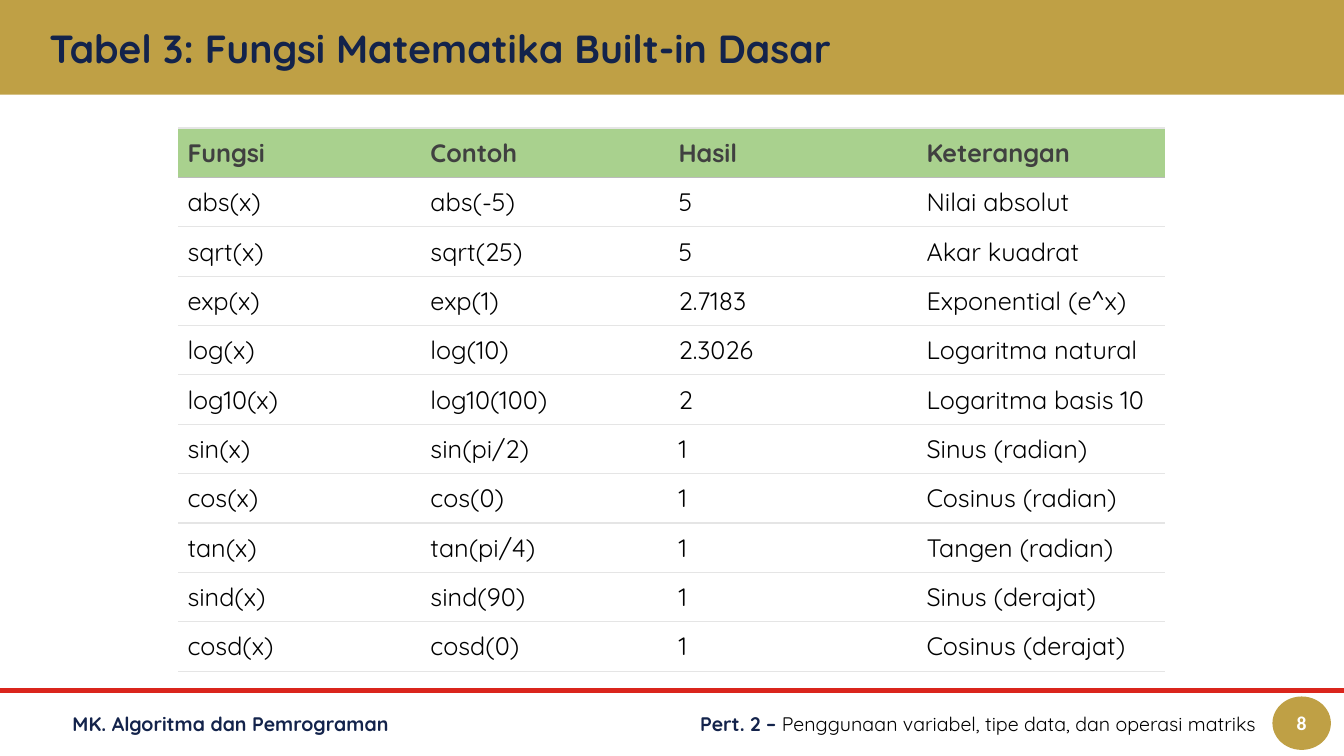
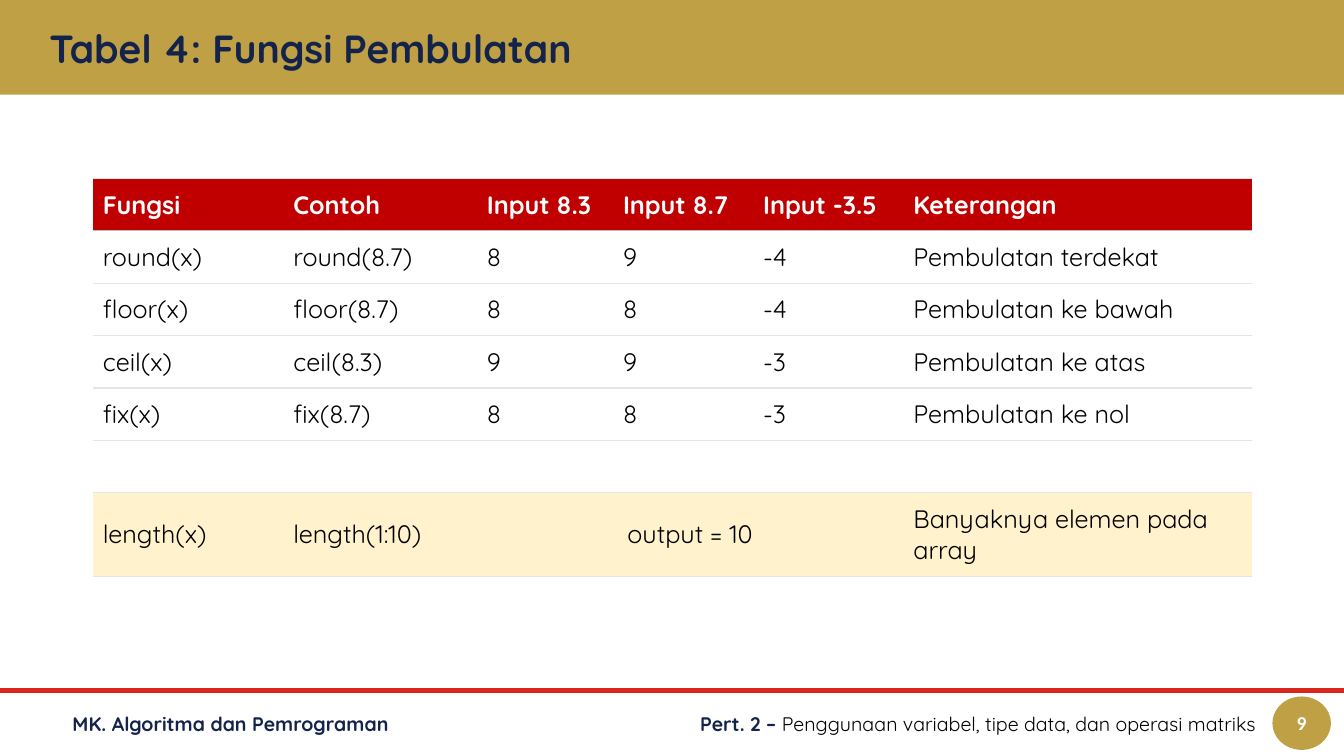
from lxml.etree import SubElement
from pptx import Presentation
from pptx.dml.color import RGBColor
from pptx.enum.shapes import MSO_CONNECTOR, MSO_SHAPE
from pptx.enum.text import MSO_ANCHOR, PP_ALIGN
from pptx.oxml import parse_xml
from pptx.oxml.ns import nsdecls, qn
from pptx.util import Inches, Pt

# Shared style
GOLD = RGBColor(0xBF, 0xA0, 0x45)
RED = RGBColor(0xDA, 0x25, 0x1C)
NAVY = RGBColor(0x13, 0x23, 0x4B)
BLACK = RGBColor(0x00, 0x00, 0x00)
WHITE = RGBColor(0xFF, 0xFF, 0xFF)
DARK_GREY = RGBColor(0x40, 0x40, 0x40)
HEADER_RULE = RGBColor(0xBB, 0xBB, 0xBB)
ROW_RULE = RGBColor(0xE5, 0xE5, 0xE5)
GREEN = RGBColor(0xA9, 0xD1, 0x8E)
DEEP_RED = RGBColor(0xC0, 0x00, 0x00)
CREAM = RGBColor(0xFF, 0xF2, 0xCC)
FONT = "Quicksand"
NUMBER_FONT = "Calibri"
SLIDE_WIDTH, SLIDE_HEIGHT = 13.33, 7.5
RULE_WIDTH = 0.94

# Slide content
MATH_ROWS = [
    ("Fungsi", "Contoh", "Hasil", "Keterangan"),
    ("abs(x)", "abs(-5)", "5", "Nilai absolut"),
    ("sqrt(x)", "sqrt(25)", "5", "Akar kuadrat"),
    ("exp(x)", "exp(1)", "2.7183", "Exponential (e^x)"),
    ("log(x)", "log(10)", "2.3026", "Logaritma natural"),
    ("log10(x)", "log10(100)", "2", "Logaritma basis 10"),
    ("sin(x)", "sin(pi/2)", "1", "Sinus (radian)"),
    ("cos(x)", "cos(0)", "1", "Cosinus (radian)"),
    ("tan(x)", "tan(pi/4)", "1", "Tangen (radian)"),
    ("sind(x)", "sind(90)", "1", "Sinus (derajat)"),
    ("cosd(x)", "cosd(0)", "1", "Cosinus (derajat)"),
]
ROUNDING_ROWS = [
    ("Fungsi", "Contoh", "Input 8.3", "Input 8.7", "Input -3.5", "Keterangan"),
    ("round(x)", "round(8.7)", "8", "9", "-4", "Pembulatan terdekat"),
    ("floor(x)", "floor(8.7)", "8", "8", "-4", "Pembulatan ke bawah"),
    ("ceil(x)", "ceil(8.3)", "9", "9", "-3", "Pembulatan ke atas"),
    ("fix(x)", "fix(8.7)", "8", "8", "-3", "Pembulatan ke nol"),
    ("",) * 6,
    ("length(x)", "length(1:10)", "output = 10", "", "", "Banyaknya elemen pada array"),
]


def style_run(run, size, color, bold=False, font=FONT):
    run.font.name = font
    run.font.size = Pt(size)
    run.font.bold = bold
    run.font.color.rgb = color


def set_margins(target, inset):
    target.margin_left = target.margin_right = Inches(inset)
    target.margin_top = target.margin_bottom = Inches(inset)


def add_text(slide, box, parts, size, align=PP_ALIGN.LEFT):
    """Place one line of (text, color, bold) parts in a box."""
    text_frame = slide.shapes.add_textbox(*map(Inches, box)).text_frame
    text_frame.word_wrap = True
    text_frame.vertical_anchor = MSO_ANCHOR.MIDDLE
    set_margins(text_frame, 0.1)
    paragraph = text_frame.paragraphs[0]
    paragraph.alignment = align
    for text, color, bold in parts:
        run = paragraph.add_run()
        run.text = text
        style_run(run, size, color, bold)


def add_gold_shape(slide, kind, box):
    shape = slide.shapes.add_shape(kind, *map(Inches, box))
    shape.shadow.inherit = False
    shape.fill.solid()
    shape.fill.fore_color.rgb = GOLD
    shape.line.fill.background()
    return shape


def add_title_band(slide, title, height=0.94):
    add_gold_shape(slide, MSO_SHAPE.RECTANGLE, (0, 0, SLIDE_WIDTH, height))
    add_text(slide, (0.39, 0.21, 12.55, 0.53), [(title, NAVY, True)], 28)


def add_footer(slide, number, top=6.85):
    # Red rule
    rule = slide.shapes.add_connector(
        MSO_CONNECTOR.STRAIGHT, 0, Inches(top), Inches(SLIDE_WIDTH), Inches(top))
    rule.line.color.rgb = RED
    rule.line.width = Pt(3)
    SubElement(rule._element.spPr, qn("a:effectLst"))

    # Course, topic and slide number
    text_top, height = top + 0.06, 0.53
    add_text(slide, (0.62, text_top, 5.29, height),
             [("MK. Algoritma dan Pemrograman", NAVY, True)], 14)
    add_text(slide, (6.51, text_top, 6.05, height),
             [("Pert. 2 – ", NAVY, True),
              ("Penggunaan variabel, tipe data, dan operasi matriks", BLACK, False)],
             14, PP_ALIGN.RIGHT)
    badge = add_gold_shape(slide, MSO_SHAPE.OVAL, (12.62, text_top, 0.58, height))
    text_frame = badge.text_frame
    set_margins(text_frame, 0)
    text_frame.vertical_anchor = MSO_ANCHOR.MIDDLE
    text_frame.text = str(number)
    paragraph = text_frame.paragraphs[0]
    paragraph.alignment = PP_ALIGN.CENTER
    style_run(paragraph.runs[0], 14, WHITE, True, NUMBER_FONT)


def set_borders(cell, top, bottom):
    """Draw the horizontal rules of a cell and hide its side borders."""
    borders = (("lnL", None), ("lnR", None), ("lnT", top), ("lnB", bottom))
    for index, (tag, color) in enumerate(borders):
        fill = ("<a:noFill/>" if color is None
                else f'<a:solidFill><a:srgbClr val="{color}"/></a:solidFill>')
        cell._tc.get_or_add_tcPr().insert(index, parse_xml(
            f'<a:{tag} {nsdecls("a")} w="{Pt(RULE_WIDTH)}">{fill}</a:{tag}>'))


def style_cell(cell, text, fill, color, bold, inset):
    cell.fill.solid()
    cell.fill.fore_color.rgb = fill
    cell.vertical_anchor = MSO_ANCHOR.MIDDLE
    set_margins(cell, inset)
    if text:
        cell.text_frame.text = text
        style_run(cell.text_frame.paragraphs[0].runs[0], 18, color, bold)


def add_function_table(slide, left, top, rows, widths, heights, header_fill,
                       header_color, inset, row_fills=None):
    frame = slide.shapes.add_table(
        len(rows), len(widths), Inches(left), Inches(top),
        Inches(sum(widths)), Inches(sum(heights)))
    table = frame.table
    table.first_row = table.horz_banding = False
    for column, width in zip(table.columns, widths):
        column.width = Inches(width)
    for row, height in zip(table.rows, heights):
        row.height = Inches(height)

    fills = {0: header_fill, **(row_fills or {})}
    for row_index, values in enumerate(rows):
        is_header = row_index == 0
        color = header_color if is_header else BLACK
        top_rule = HEADER_RULE if row_index == 1 else ROW_RULE
        bottom_rule = HEADER_RULE if is_header else ROW_RULE
        for column_index, text in enumerate(values):
            cell = table.cell(row_index, column_index)
            style_cell(cell, text, fills.get(row_index, WHITE), color, is_header, inset)
            set_borders(cell, top_rule, bottom_rule)
    return table


def add_base_slide(presentation, title, number):
    slide = presentation.slides.add_slide(presentation.slide_layouts[6])
    add_title_band(slide, title)
    add_footer(slide, number)
    return slide


def add_math_slide(presentation):
    slide = add_base_slide(presentation, "Tabel 3: Fungsi Matematika Built-in Dasar", 8)
    add_function_table(slide, 1.77, 1.27, MATH_ROWS, [2.41] + [2.46] * 3,
                       [0.49] * len(MATH_ROWS), GREEN, DARK_GREY, 0.09)


def add_rounding_slide(presentation):
    slide = add_base_slide(presentation, "Tabel 4: Fungsi Pembulatan", 9)
    last = len(ROUNDING_ROWS) - 1
    table = add_function_table(
        slide, 0.92, 1.77, ROUNDING_ROWS, [1.89, 1.92, 1.35, 1.39, 1.49, 3.46],
        [0.52] * last + [0.83], DEEP_RED, WHITE, 0.1, {last: CREAM})
    # One shared result across the three input columns
    result = table.cell(last, 2)
    result.merge(table.cell(last, 4))
    result.text_frame.paragraphs[0].alignment = PP_ALIGN.CENTER


def main():
    presentation = Presentation()
    presentation.slide_width = Inches(SLIDE_WIDTH)
    presentation.slide_height = Inches(SLIDE_HEIGHT)
    add_math_slide(presentation)
    add_rounding_slide(presentation)
    presentation.save("out.pptx")


if __name__ == "__main__":
    main()
